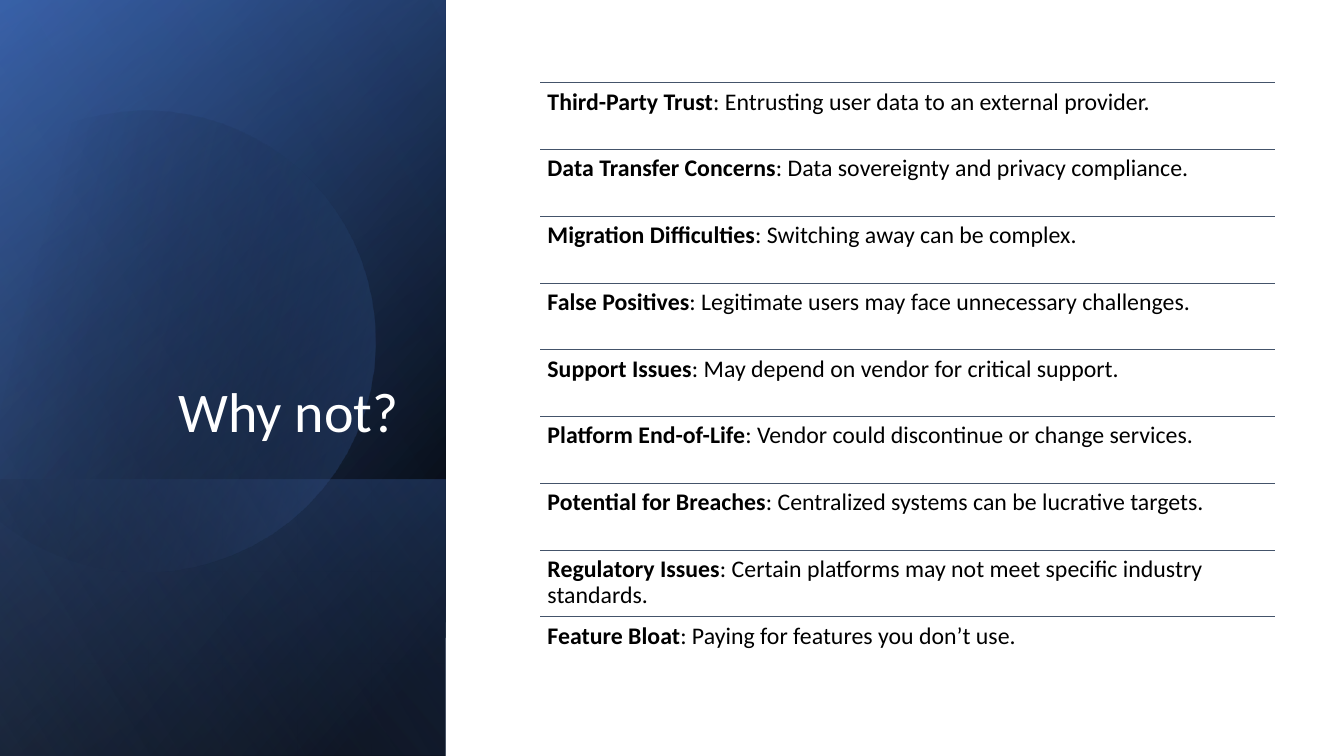
import math

from lxml import etree
from pptx import Presentation
from pptx.dml.color import RGBColor
from pptx.enum import shapes, text
from pptx.oxml.ns import qn
from pptx.util import Inches, Pt

COLORS = {"black": "000000", "white": "FFFFFF", "navy": "2F5597",
          "blue": "4472C4", "pale": "8FAADC", "rule": "44546A"}
FONT = "Calibri"

DRAWBACKS = [
    ("Third-Party Trust", "Entrusting user data to an external provider."),
    ("Data Transfer Concerns", "Data sovereignty and privacy compliance."),
    ("Migration Difficulties", "Switching away can be complex."),
    ("False Positives", "Legitimate users may face unnecessary challenges."),
    ("Support Issues", "May depend on vendor for critical support."),
    ("Platform End-of-Life", "Vendor could discontinue or change services."),
    ("Potential for Breaches", "Centralized systems can be lucrative targets."),
    ("Regulatory Issues", "Certain platforms may not meet specific industry standards."),
    ("Feature Bloat", "Paying for features you don’t use."),
]

# Disc outline, relative to the panel: start, then cubic curves and straight cuts
DISC_START = (1.49, 1.1)
DISC_SEGMENTS = [
    [(2.46, 1.12), (3.35, 1.77), (3.63, 2.75)],
    [(3.98, 3.97), (3.28, 5.23), (2.07, 5.58)],
    [(1.31, 5.8), (0.53, 5.61), (-0.03, 5.14)],
    [(-0.15, 5.03)],
    [(-0.15, 1.75)],
    [(0, 1.61)],
    [(0.23, 1.42), (0.5, 1.28), (0.8, 1.19)],
    [(1.03, 1.13), (1.26, 1.1), (1.49, 1.1)],
]
DISC_CENTER = (1.585, 3.345)
DISC_ROTATION = 343.9


def rgb(name):
    return RGBColor.from_string(COLORS[name])


def add_run(paragraph, words, size, color, bold=False):
    run = paragraph.add_run()
    run.text = words
    run.font.name, run.font.size, run.font.bold = FONT, Pt(size), bold
    run.font.color.rgb = rgb(color)


def paint_gradient(shape, stops, angle):
    """Fill with two (position %, color, opacity %) stops, angle clockwise."""
    shape.shadow.inherit = False
    shape.line.fill.background()
    shape.fill.gradient()
    shape.fill.gradient_angle = 360 - angle
    for stop, (position, color, _) in zip(shape.fill.gradient_stops, stops):
        stop.position = position / 100
        stop.color.rgb = rgb(color)
    tints = shape._element.spPr.iter(qn("a:srgbClr"))
    for tint, (_, _, opacity) in zip(tints, stops):
        etree.SubElement(tint, qn("a:alpha")).set("val", str(opacity * 1000))


def add_wash(slide, box, stops, angle):
    """Cover the box with a gradient rectangle, mirrored and turned by 90°."""
    left, top, width, height = box
    wash = slide.shapes.add_shape(
        shapes.MSO_SHAPE.RECTANGLE,
        Inches(left + (width - height) / 2), Inches(top + (height - width) / 2),
        Inches(height), Inches(width))
    wash.rotation = 90
    wash._element.spPr.find(qn("a:xfrm")).set("flipH", "1")
    paint_gradient(wash, stops, angle)


def curve_points(start, handle1, handle2, end, steps=16):
    for step in range(1, steps + 1):
        t = step / steps
        weights = ((1 - t) ** 3, 3 * t * (1 - t) ** 2, 3 * t * t * (1 - t), t ** 3)
        yield tuple(sum(w * p[axis] for w, p in zip(weights, (start, handle1, handle2, end)))
                    for axis in (0, 1))


def add_disc(slide, left, top):
    outline = [DISC_START]
    for segment in DISC_SEGMENTS:
        outline += curve_points(outline[-1], *segment) if len(segment) == 3 else segment

    turn = math.radians(-DISC_ROTATION)
    cx, cy = DISC_CENTER

    def unturned(point):
        dx, dy = point[0] - cx, point[1] - cy
        return (Inches(left + cx + dx * math.cos(turn) - dy * math.sin(turn)),
                Inches(top + cy + dx * math.sin(turn) + dy * math.cos(turn)))

    vertices = [unturned(point) for point in outline]
    builder = slide.shapes.build_freeform(*vertices[0])
    builder.add_line_segments(vertices[1:], close=True)
    disc = builder.convert_to_shape()
    disc.rotation = DISC_ROTATION
    paint_gradient(disc, [(29, "black", 0), (100, "blue", 43)], 30)


def add_title_panel(slide, left, top, width, height):
    panel = (left, top, width, height)
    band_height = 2.74
    band = (left, top + height - band_height, width, band_height)
    add_wash(slide, panel, [(8, "black", 100), (100, "navy", 100)], 50)
    add_wash(slide, panel, [(0, "black", 0), (99, "blue", 46)], 30)
    add_wash(slide, band, [(2, "blue", 29), (100, "black", 30)], 130)
    add_disc(slide, left, top)
    add_wash(slide, panel, [(0, "black", 0), (99, "pale", 11)], 120)

    title = slide.shapes.title
    slide.shapes._spTree.append(title._element)  # bring in front of the panel
    title.left, title.top = Inches(left + 0.64), Inches(top + 1.84)
    title.width, title.height = Inches(3.41), Inches(2.62)
    title.text_frame.vertical_anchor = text.MSO_ANCHOR.BOTTOM
    paragraph = title.text_frame.paragraphs[0]
    paragraph.alignment = text.PP_ALIGN.RIGHT
    paragraph.line_spacing = 0.9
    add_run(paragraph, "Why not?", 40, "white")


def add_drawback(slide, drawback, left, top, width, height):
    rule = slide.shapes.add_connector(
        shapes.MSO_CONNECTOR.STRAIGHT,
        Inches(left), Inches(top), Inches(left + width), Inches(top))
    rule.line.color.rgb = rgb("rule")
    rule.line.width = Pt(0.5)
    etree.SubElement(rule._element.spPr, qn("a:effectLst"))

    entry = slide.shapes.add_textbox(
        Inches(left), Inches(top), Inches(width), Inches(height))
    frame = entry.text_frame
    frame.word_wrap = True
    frame.margin_left = frame.margin_right = Inches(0.07)
    frame.margin_top = frame.margin_bottom = Inches(0.07)
    paragraph = frame.paragraphs[0]
    paragraph.alignment = text.PP_ALIGN.LEFT
    paragraph.line_spacing = 0.9
    name, reason = drawback
    add_run(paragraph, name, 17, "black", bold=True)
    add_run(paragraph, f": {reason}", 17, "black")


def add_drawback_list(slide, left, top, width, height):
    row_height = height / len(DRAWBACKS)
    for row, drawback in enumerate(DRAWBACKS):
        add_drawback(slide, drawback, left, top + row * row_height, width, row_height)


def main():
    deck = Presentation()
    deck.slide_width, deck.slide_height = Inches(13.33), Inches(7.5)
    slide = deck.slides.add_slide(deck.slide_layouts.get_by_name("Title Only"))
    slide.background.fill.solid()
    slide.background.fill.fore_color.rgb = rgb("white")
    add_title_panel(slide, 0, 0, 4.42, 7.5)
    add_drawback_list(slide, 5.36, 0.82, 7.29, 5.96)
    deck.save("out.pptx")


if __name__ == "__main__":
    main()
